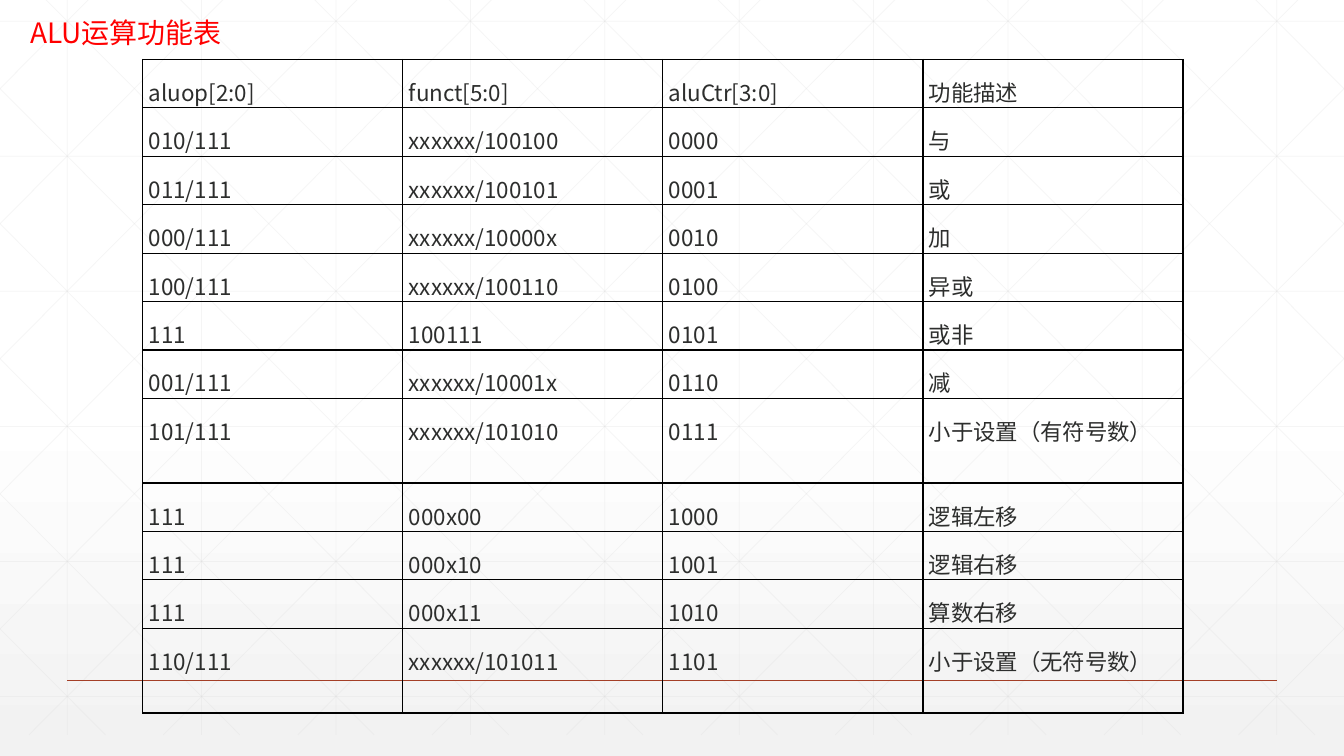
from copy import deepcopy

from lxml.etree import SubElement
from pptx import Presentation
from pptx.dml.color import RGBColor
from pptx.enum.shapes import MSO_CONNECTOR as Connector
from pptx.enum.text import MSO_AUTO_SIZE as AutoSize, PP_ALIGN as Align
from pptx.oxml.ns import qn
from pptx.util import Inches, Pt

WHITE = RGBColor(0xFF, 0xFF, 0xFF)
PALE_GREY = RGBColor(0xF2, 0xF2, 0xF2)
MESH_GREY = RGBColor(0xD9, 0xD9, 0xD9)
RUST = RGBColor(0xA4, 0x3F, 0x27)
RED = RGBColor(0xFF, 0x00, 0x00)
INK = RGBColor(0x2D, 0x2E, 0x2D)
BLACK = RGBColor(0x00, 0x00, 0x00)

SANS = "Noto Sans CJK SC"
SERIF = "Times New Roman"

# Grid: 100 columns across the slide; ten columns by ten rows is one mesh tile.
WIDTH, HEIGHT = 13.333, 7.5
COLUMN, ROW = WIDTH / 100, 0.134
TILE = 10
MESH_TOP, MESH_BOTTOM = -1.57, 54.4
DIAGONAL_START = 1.87

LOW_ROW, TALL_ROW = 2.91, 6.27
TALL_OPERATIONS = {"小于设置（有符号数）", "小于设置（无符号数）"}
ALU_ROWS = [
    ("aluop[2:0]", "funct[5:0]", "aluCtr[3:0]", "功能描述"),
    ("010/111", "xxxxxx/100100", "0000", "与"),
    ("011/111", "xxxxxx/100101", "0001", "或"),
    ("000/111", "xxxxxx/10000x", "0010", "加"),
    ("100/111", "xxxxxx/100110", "0100", "异或"),
    ("111", "100111", "0101", "或非"),
    ("001/111", "xxxxxx/10001x", "0110", "减"),
    ("101/111", "xxxxxx/101010", "0111", "小于设置（有符号数）"),
    ("111", "000x00", "1000", "逻辑左移"),
    ("111", "000x10", "1001", "逻辑右移"),
    ("111", "000x11", "1010", "算数右移"),
    ("110/111", "xxxxxx/101011", "1101", "小于设置（无符号数）"),
]


def across(columns):
    return Inches(columns * COLUMN)


def down(rows):
    return Inches(rows * ROW)


def write_text(frame, text, *, size, color, font=SANS, align=Align.LEFT, spacing=1.0):
    paragraph = frame.paragraphs[0]
    paragraph.alignment = align
    paragraph.line_spacing = spacing
    run = paragraph.add_run()
    run.text = text
    run.font.size = Pt(size)
    run.font.bold = False
    run.font.name = font
    run.font.color.rgb = color
    SubElement(run.font._element, qn("a:ea"), typeface=SANS)


def draw_borders(cell, color, width):
    properties = cell._tc.get_or_add_tcPr()
    for position, side in enumerate(("lnL", "lnR", "lnT", "lnB")):
        border = SubElement(properties, qn(f"a:{side}"), w=str(Pt(width)))
        fill = SubElement(border, qn("a:solidFill"))
        SubElement(fill, qn("a:srgbClr"), val=str(color))
        properties.insert(position, border)


class SlideBuilder:
    """Draws on one slide, with lengths in grid columns and rows."""

    def __init__(self, slide):
        self.slide = slide

    def background(self):
        fill = self.slide.background.fill
        fill.gradient()
        fill.gradient_angle = 270
        stop_list = next(self.slide.element.iter(qn("a:gsLst")))
        stop_list.insert(1, deepcopy(stop_list[0]))
        stops = ((0, WHITE), (0.53, WHITE), (1, PALE_GREY))
        for stop, (position, color) in zip(fill.gradient_stops, stops):
            stop.position = position
            stop.color.rgb = color

    def line(self, start, end, color, width, opacity=100):
        connector = self.slide.shapes.add_connector(
            Connector.STRAIGHT,
            across(start[0]), down(start[1]), across(end[0]), down(end[1]))
        connector.line.color.rgb = color
        connector.line.width = Pt(width)
        properties = connector.element.spPr
        if opacity < 100:
            shade = next(properties.iter(qn("a:srgbClr")))
            SubElement(shade, qn("a:alpha"), val=str(opacity * 1000))
        SubElement(properties, qn("a:effectLst"))

    def mesh_line(self, start, end):
        self.line(start, end, MESH_GREY, 0.5, opacity=25)

    def mesh(self):
        """Upright, level and mirrored diagonal lines, cut at the slide's sides."""
        for x in range(5, 100, TILE):
            self.mesh_line((x, MESH_TOP), (x, MESH_BOTTOM))
        for tile in range(6):
            y = -MESH_TOP + tile * TILE
            self.mesh_line((0, y), (100, y))
        for tile in range(-5, 10):
            x = DIAGONAL_START + tile * TILE
            left = max(x, 0)
            right = min(x + MESH_BOTTOM - MESH_TOP, 100)
            top, bottom = MESH_TOP + left - x, MESH_TOP + right - x
            self.mesh_line((left, top), (right, bottom))
            self.mesh_line((100 - left, top), (100 - right, bottom))

    def title(self, text, left, top, width, height):
        box = self.slide.shapes.add_textbox(
            across(left), down(top), across(width), down(height))
        frame = box.text_frame
        frame.word_wrap = True
        frame.auto_size = AutoSize.SHAPE_TO_FIT_TEXT
        write_text(frame, text, size=20, color=RED, spacing=0.85)

    def table(self, rows, left, top, column_width):
        heights = [TALL_ROW if row[-1] in TALL_OPERATIONS else LOW_ROW for row in rows]
        count = len(rows[0])
        table = self.slide.shapes.add_table(
            len(rows), count, across(left), down(top),
            across(column_width * count), down(sum(heights))).table
        table.first_row = table.horz_banding = False
        for column in table.columns:
            column.width = across(column_width)
        for table_row, height, texts in zip(table.rows, heights, rows):
            table_row.height = down(height)
            for index, (cell, text) in enumerate(zip(table_row.cells, texts)):
                cell.fill.background()
                cell.margin_left = cell.margin_right = Inches(0.06)
                cell.margin_top = cell.margin_bottom = 0
                draw_borders(cell, BLACK, 1)
                write_text(cell.text_frame, text, size=16, color=INK,
                           font=SERIF if index == count - 1 else SANS,
                           align=Align.JUSTIFY, spacing=1.5)


def main():
    presentation = Presentation()
    presentation.slide_width = Inches(WIDTH)
    presentation.slide_height = Inches(HEIGHT)
    builder = SlideBuilder(presentation.slides.add_slide(presentation.slide_layouts[6]))
    builder.background()
    builder.mesh()
    builder.line((5, 50.37), (95, 50.37), RUST, 1)
    builder.table(ALU_ROWS, left=10.62, top=4.4, column_width=19.35)
    builder.title("ALU运算功能表", left=1.5, top=1.19, width=16.1, height=3.28)
    presentation.save("out.pptx")


if __name__ == "__main__":
    main()
